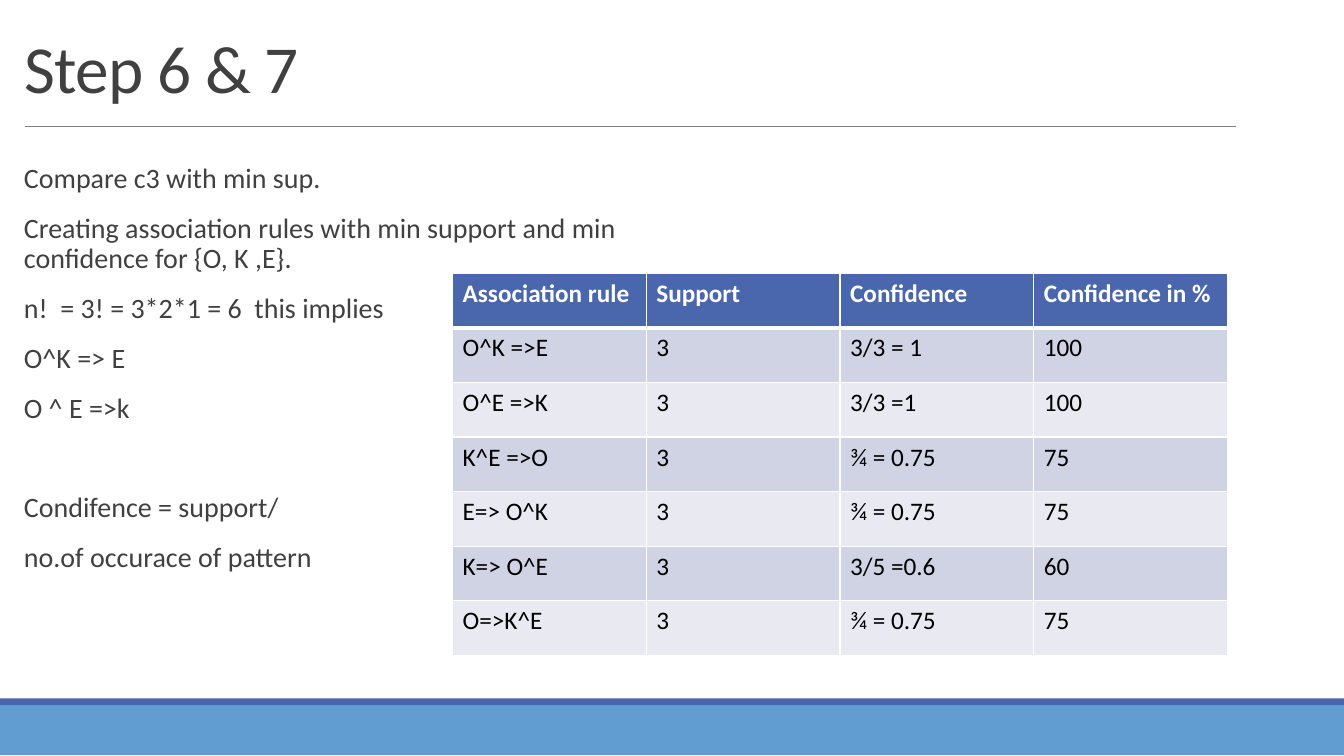
from lxml.etree import SubElement
from pptx import Presentation
from pptx.dml.color import RGBColor
from pptx.enum.shapes import MSO_CONNECTOR, MSO_SHAPE
from pptx.enum.text import MSO_ANCHOR, MSO_AUTO_SIZE, PP_ALIGN
from pptx.oxml.ns import qn
from pptx.util import Pt

FONT = "Calibri"
COLORS = {
    "text": "404040", "rule": "808080", "band": "629DD1", "accent": "4A66AC",
    "odd_row": "D0D3E3", "even_row": "E9EAF1", "white": "FFFFFF", "black": "000000",
}
TITLE = "Step 6 & 7"
# Each line of the body with its space before, in points
BODY = [
    ("Compare c3 with min sup.", 0),
    ("Creating association rules with min support and min confidence for {O, K ,E}.", 12),
    ("n!  = 3! = 3*2*1 = 6  this implies", 12),
    ("O^K => E", 12),
    ("O ^ E =>k", 12),
    ("Condifence = support/", 47.7),
    ("no.of occurace of pattern", 12),
]
RULES = [
    ("Association rule", "Support", "Confidence", "Confidence in %"),
    ("O^K =>E", "3", "3/3 = 1", "100"),
    ("O^E =>K", "3", "3/3 =1", "100"),
    ("K^E =>O", "3", "¾ = 0.75", "75"),
    ("E=> O^K", "3", "¾ = 0.75", "75"),
    ("K=> O^E", "3", "3/5 =0.6", "60"),
    ("O=>K^E", "3", "¾ = 0.75", "75"),
]
FOOTER_BARS = [("band", 503.3, 36), ("accent", 498.8, 4.8)]  # colour, top, height
PAGE_WIDTH, PAGE_HEIGHT = 960, 540
COLUMN_WIDTH, ROW_HEIGHT = 138.4, 39


def rgb(name):
    return RGBColor.from_string(COLORS[name])


def add_span(para, text, size, color, bold=False):
    span = para.add_run()
    span.text = text
    font = span.font
    font.name, font.size, font.bold = FONT, Pt(size), bold
    font.color.rgb = rgb(color)
    return span


def add_footer_bars(page):
    for color, top, height in FOOTER_BARS:
        bar = page.shapes.add_shape(
            MSO_SHAPE.RECTANGLE, 0, Pt(top), Pt(PAGE_WIDTH), Pt(height))
        bar.shadow.inherit = False
        bar.fill.solid()
        bar.fill.fore_color.rgb = rgb(color)
        bar.line.fill.background()


def add_title(page):
    title = page.shapes.title
    title.left, title.top, title.width, title.height = Pt(10), Pt(12.2), Pt(866), Pt(67.7)
    frame = title.text_frame
    frame.auto_size = MSO_AUTO_SIZE.NONE
    frame.vertical_anchor = MSO_ANCHOR.BOTTOM
    para = frame.paragraphs[0]
    para.alignment = PP_ALIGN.LEFT
    para.line_spacing = 0.85
    span = add_span(para, TITLE, 48, "text")
    span._r.get_or_add_rPr().set("spc", "-50")


def add_title_rule(page):
    rule = page.shapes.add_connector(
        MSO_CONNECTOR.STRAIGHT, Pt(18), Pt(90), Pt(882.7), Pt(90))
    rule.line.color.rgb = rgb("rule")
    rule.line.width = Pt(0.5)
    SubElement(rule._element.spPr, qn("a:effectLst"))


def add_body(page):
    box = page.shapes.add_textbox(Pt(10), Pt(113.8), Pt(484), Pt(354))
    frame = box.text_frame
    frame.word_wrap = True
    frame.margin_right = 0
    for index, (text, space_before) in enumerate(BODY):
        para = frame.add_paragraph() if index else frame.paragraphs[0]
        para.line_spacing = 0.9
        para.space_before, para.space_after = Pt(space_before), Pt(2)
        add_span(para, text, 20, "text")


def set_borders(cell, bottom_width):
    """Give the cell white borders; they must come before its fill."""
    properties = cell._tc.get_or_add_tcPr()
    for side, width in (("L", 1), ("R", 1), ("T", 1), ("B", bottom_width)):
        line = SubElement(properties, qn(f"a:ln{side}"), w=str(Pt(width)))
        fill = SubElement(line, qn("a:solidFill"))
        SubElement(fill, qn("a:srgbClr"), val=COLORS["white"])


def add_rules_table(page):
    row_count, column_count = len(RULES), len(RULES[0])
    table = page.shapes.add_table(
        row_count, column_count, Pt(323.3), Pt(195.2),
        Pt(COLUMN_WIDTH * column_count), Pt(ROW_HEIGHT * row_count)).table
    for column in table.columns:
        column.width = Pt(COLUMN_WIDTH)
    for row_index, values in enumerate(RULES):
        header = row_index == 0
        row_color = "accent" if header else "odd_row" if row_index % 2 else "even_row"
        table.rows[row_index].height = Pt(ROW_HEIGHT)
        for column_index, value in enumerate(values):
            cell = table.cell(row_index, column_index)
            set_borders(cell, 3 if row_index == 0 else 1)
            cell.fill.solid()
            cell.fill.fore_color.rgb = rgb(row_color)
            add_span(cell.text_frame.paragraphs[0], value, 18,
                     "white" if header else "black", header)


def main():
    deck = Presentation()
    deck.slide_width, deck.slide_height = Pt(PAGE_WIDTH), Pt(PAGE_HEIGHT)
    page = deck.slides.add_slide(deck.slide_layouts[5])
    add_footer_bars(page)
    add_title(page)
    add_title_rule(page)
    add_body(page)
    add_rules_table(page)
    deck.save("out.pptx")


if __name__ == "__main__":
    main()
